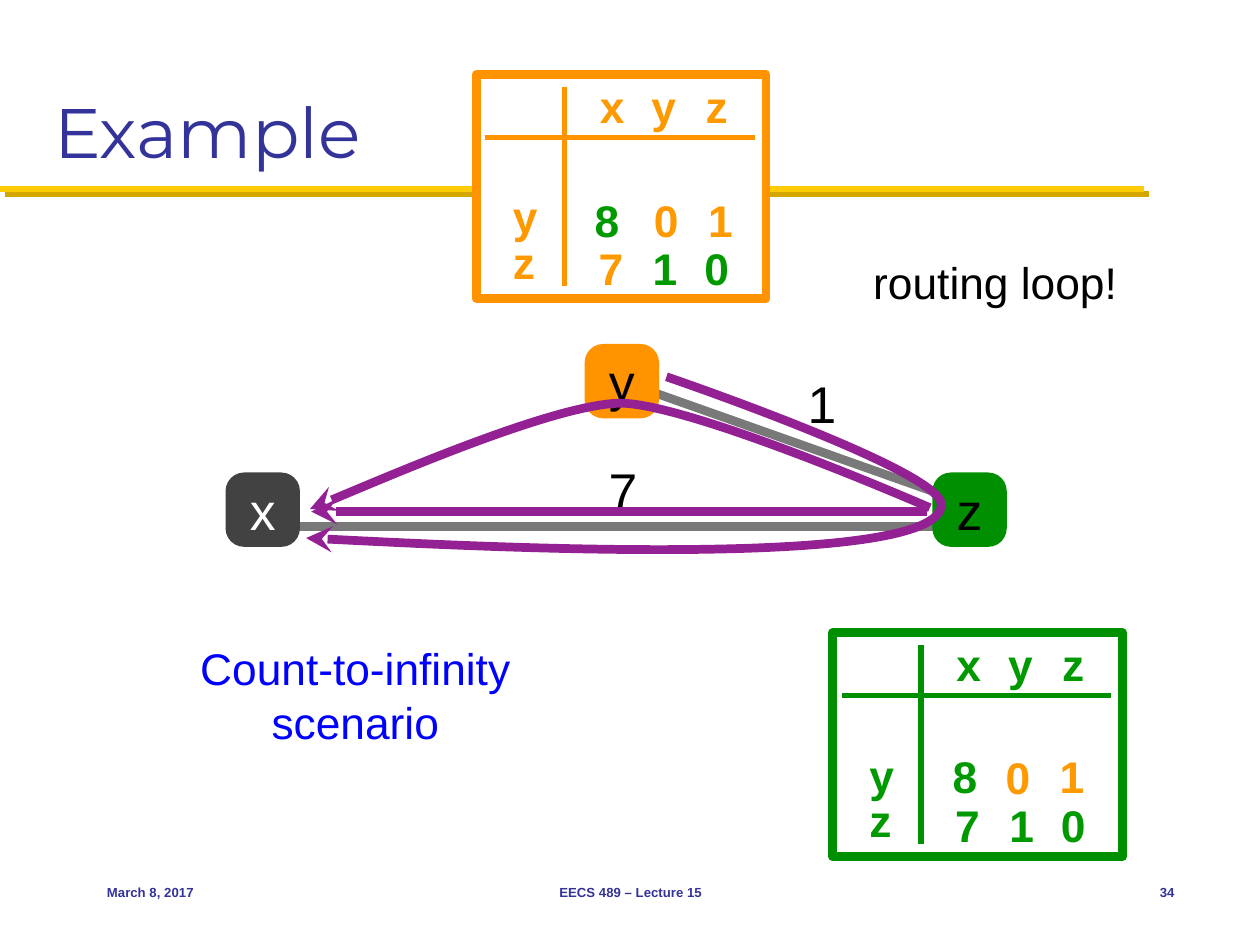
from lxml.etree import SubElement
from pptx import Presentation
from pptx.dml.color import RGBColor
from pptx.enum.shapes import MSO_CONNECTOR, MSO_SHAPE
from pptx.enum.text import MSO_ANCHOR, PP_ALIGN
from pptx.oxml.ns import qn
from pptx.util import Pt

PX = 9144  # 100 px to the inch
ORANGE, GREEN, GREY, PURPLE, NAVY = "FF9300", "008F00", "797979", "942193", "333399"
ORANGE_TEXT, GREEN_TEXT = "FF9900", "009900"


def color(hex_string):
    return RGBColor.from_string(hex_string)


def write(shape, text, size, hex_string, bold=False, align=PP_ALIGN.LEFT, inset=4, font="Arial"):
    """Put one formatted, vertically centred paragraph in a shape."""
    frame = shape.text_frame
    frame.text = text
    frame.word_wrap = True
    frame.vertical_anchor = MSO_ANCHOR.MIDDLE
    frame.margin_left = frame.margin_right = inset * PX
    frame.margin_top = frame.margin_bottom = min(inset, 5) * PX
    paragraph = frame.paragraphs[0]
    paragraph.alignment = align
    run_font = paragraph.runs[0].font
    run_font.name = font
    run_font.size = Pt(size)
    run_font.bold = bold
    run_font.color.rgb = color(hex_string)


presentation = Presentation()
presentation.slide_width = 1000 * PX
presentation.slide_height = 750 * PX
slide = presentation.slides.add_slide(presentation.slide_layouts[5])
shapes = slide.shapes

title = shapes.title
title.left, title.top, title.width, title.height = 33 * PX, 17 * PX, 933 * PX, 125 * PX
write(title, "Example", 40, NAVY, inset=10, font="Montserrat")
title.text_frame.vertical_anchor = MSO_ANCHOR.BOTTOM

# Distance tables: frame corner, colours, and the values of rows y and z
tables = [
    (378, 59, ORANGE, ORANGE_TEXT, [
        ("8", 90, 90, GREEN_TEXT), ("0", 137, 90, ORANGE_TEXT), ("1", 180, 90, ORANGE_TEXT),
        ("7", 93, 128, ORANGE_TEXT), ("1", 136, 128, GREEN_TEXT), ("0", 177, 128, GREEN_TEXT)]),
    (661, 502, GREEN, GREEN_TEXT, [
        ("8", 91, 88, GREEN_TEXT), ("0", 133, 89, ORANGE_TEXT), ("1", 176, 88, ORANGE_TEXT),
        ("7", 93, 127, GREEN_TEXT), ("1", 136, 127, GREEN_TEXT), ("0", 177, 127, GREEN_TEXT)]),
]

# Straight lines: start, end, colour, width
title_rule = (0, 150, 908, 150, "FFCB05", 3.5)
links = [(230, 418, 763, 418, GREY, 5), (509, 308, 763, 398, GREY, 5)]
direct_route = (736, 406, 247, 406, PURPLE, 5)
table_rules = []
for left, top, line_color, _, _ in tables:
    table_rules.append((left + 7, top + 50, left + 221, top + 50, line_color, 3))
    table_rules.append((left + 70, top + 168, left + 70, top + 10, line_color, 3))

connectors = {}
for line in [title_rule, *links, *table_rules, direct_route]:
    x1, y1, x2, y2, line_color, width = line
    connector = shapes.add_connector(MSO_CONNECTOR.STRAIGHT, x1 * PX, y1 * PX, x2 * PX, y2 * PX)
    connector.line.color.rgb = color(line_color)
    connector.line.width = Pt(width)
    SubElement(connector._element.spPr, qn("a:effectLst"))
    connectors[line] = connector
    if line == title_rule:
        # The frames of the tables lie over the title rule
        for left, top, frame_color, _, _ in tables:
            frame = shapes.add_shape(MSO_SHAPE.RECTANGLE, left * PX, top * PX, 230 * PX, 178 * PX)
            frame.shadow.inherit = False
            frame.fill.solid()
            frame.fill.fore_color.rgb = color("FFFFFF")
            frame.line.color.rgb = color(frame_color)
            frame.line.width = Pt(5)

effects = connectors[title_rule]._element.spPr.find(qn("a:effectLst"))
shadow = SubElement(effects, qn("a:outerShdw"), dist="53340", dir="2700000", algn="ctr", rotWithShape="0")
SubElement(shadow, qn("a:srgbClr"), val="D3A600")

for left, top, _, label_color, values in tables:
    cells = [(name, x, 2, 29, 46, label_color) for name, x in zip("xyz", (94, 135, 178))]
    cells += [(name, 25, y, 26, 51, label_color) for name, y in (("y", 87), ("z", 123))]
    cells += [(value, x, y, 19, 51, value_color) for value, x, y, value_color in values]
    for text, x, y, width, height, text_color in cells:
        box = shapes.add_textbox((left + x) * PX, (top + y) * PX, width * PX, height * PX)
        write(box, text, 25.3, text_color, bold=True)

# Network nodes
for name, left, top, fill, text_color in [
    ("x", 179, 375, "424242", "FFFFFF"),
    ("z", 740, 375, GREEN, "000000"),
    ("y", 464, 273, ORANGE, "000000"),
]:
    node = shapes.add_shape(MSO_SHAPE.ROUNDED_RECTANGLE, left * PX, top * PX, 59 * PX, 59 * PX)
    node.adjustments[0] = 0.25
    node.shadow.inherit = False
    node.fill.solid()
    node.fill.fore_color.rgb = color(fill)
    node.line.fill.background()
    write(node, name, 29.5, text_color, align=PP_ALIGN.CENTER, inset=0)

# Link costs, notes and footer
LEFT, CENTER, RIGHT = PP_ALIGN.LEFT, PP_ALIGN.CENTER, PP_ALIGN.RIGHT
for text, left, top, width, height, size, text_color, bold, align, inset in [
    ("7", 479, 360, 29, 58, 29.5, "000000", False, LEFT, 4),
    ("1", 637, 291, 29, 58, 29.5, "000000", False, LEFT, 4),
    ("routing loop!", 689, 199, 235, 50, 25.3, "000000", False, LEFT, 4),
    ("Count-to-infinity scenario", 92, 505, 380, 93, 25.3, "0000FF", False, CENTER, 4),
    ("March 8, 2017", 75, 683, 208, 50, 7.5, NAVY, True, LEFT, 10),
    ("EECS 489 – Lecture 15", 342, 683, 317, 50, 7.5, NAVY, True, CENTER, 10),
    ("34", 875, 683, 67, 50, 7.5, NAVY, True, RIGHT, 10),
]:
    box = shapes.add_textbox(left * PX, top * PX, width * PX, height * PX)
    write(box, text, size, text_color, bold, align, inset)

# Routes: the direct one goes on top of the nodes, then the curved ones
routes = [connectors[direct_route]]
shapes._spTree.append(connectors[direct_route]._element)

# Curved routes: start, two Bézier segments of three points each, drawn size
for start, points, width, height in [
    ((738, 403), [(738, 403), (548, 320), (492, 320), (440, 321), (246, 404), (246, 404)], 492, 84),
    ((529, 299), [(529, 299), (746, 373), (747, 400), (750, 455), (243, 427), (243, 427)], 504, 135),
]:
    builder = shapes.build_freeform(*start, scale=PX)
    builder.add_line_segments(points, close=False)
    curve = builder.convert_to_shape()
    curve.width, curve.height = width * PX, height * PX
    outline = curve._element.find(".//" + qn("a:path"))
    outline.set("w", str(width))
    outline.set("h", str(height))
    outline.set("fill", "none")
    segments = outline.findall(qn("a:lnTo"))
    for first in range(0, len(segments), 3):
        bezier = SubElement(outline, qn("a:cubicBezTo"))
        for segment in segments[first:first + 3]:
            bezier.append(segment[0])
            outline.remove(segment)
    curve.shadow.inherit = False
    curve.fill.background()
    curve.line.color.rgb = color(PURPLE)
    curve.line.width = Pt(5)
    routes.append(curve)

for route in routes:
    SubElement(route.line._get_or_add_ln(), qn("a:tailEnd"), type="stealth")

presentation.save("out.pptx")
